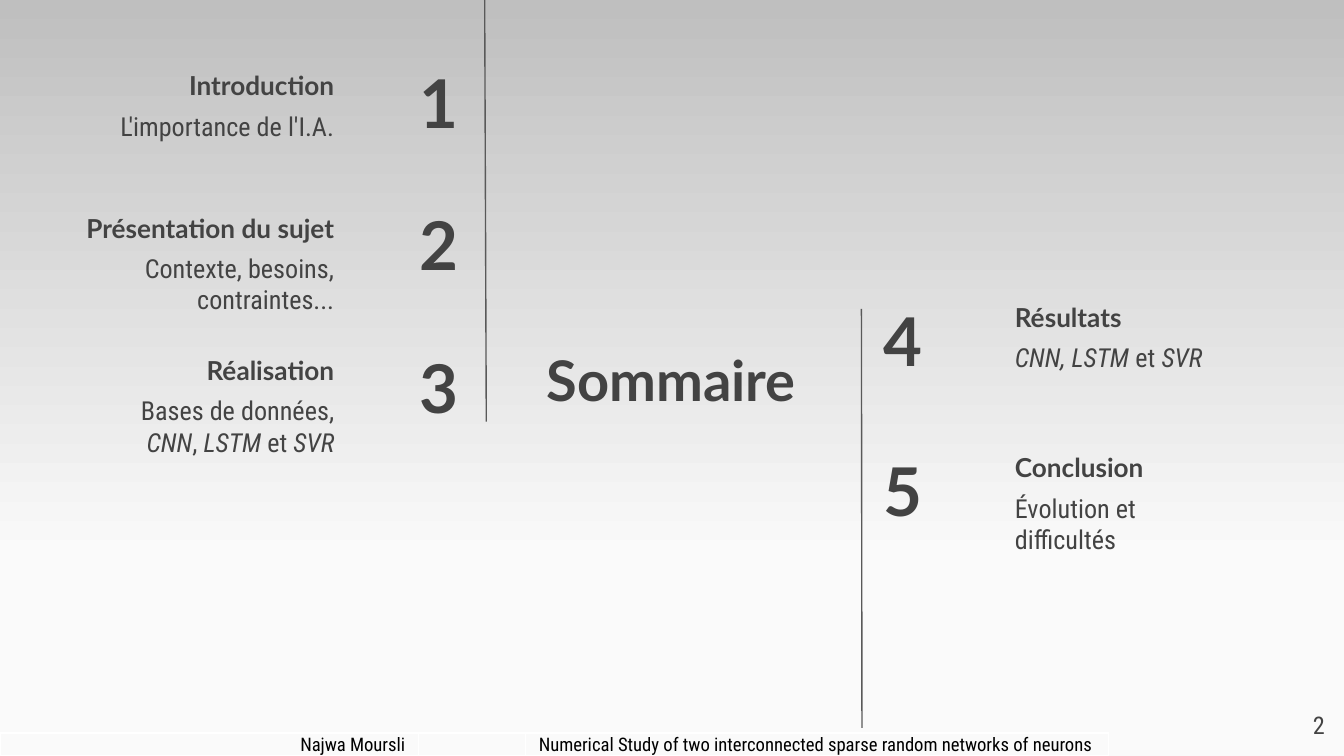
from copy import deepcopy
from dataclasses import dataclass

from lxml import etree
from pptx import Presentation
from pptx.dml.color import RGBColor as Rgb
from pptx.enum.shapes import MSO_CONNECTOR as Link
from pptx.enum.text import MSO_ANCHOR as Anchor, MSO_AUTO_SIZE as Fit, PP_ALIGN as Align
from pptx.oxml.ns import qn
from pptx.util import Cm, Pt


@dataclass(frozen=True)
class Theme:
    ink: str = "434343"
    rule: str = "595959"
    foot: str = "000000"
    back: tuple = ((0, "BFBFBF"), (0.74, "FAFAFA"), (0.83, "FAFAFA"), (1, "FBFBFB"))
    bold: str = "Lato"
    text: str = "Roboto Condensed"
    title: int = 30
    digit: int = 36
    body: int = 14
    page: int = 13
    note: int = 10
    pad: float = 0.25


class Deck:
    """Holds the style and the current slide."""

    def __init__(self, theme):
        self.theme = theme
        self.show = Presentation()
        self.show.slide_width, self.show.slide_height = Cm(25.4), Cm(14.29)
        self.slide = self.show.slides.add_slide(self.show.slide_layouts[5])

    def paint(self):
        """Fill the background with a downward gradient."""
        fill = self.slide.background.fill
        fill.gradient()
        fill.gradient_angle = 270
        stops = next(self.slide.element.iter(qn("a:gsLst")))
        while len(stops) < len(self.theme.back):
            stops.append(deepcopy(stops[0]))
        for stop, (place, color) in zip(fill.gradient_stops, self.theme.back):
            stop.position = place
            stop.color.rgb = Rgb.from_string(color)

    def style(self, para, size, face, color, align, bold=False):
        para.alignment = align
        font = para.font
        font.size, font.name, font.bold = Pt(size), face, bold
        font.color.rgb = Rgb.from_string(color)

    def fill(self, frame, text, size, face, align, anchor, bold=False):
        """Put text in a frame; parts between asterisks are italic."""
        frame.word_wrap, frame.auto_size = True, Fit.NONE
        frame.vertical_anchor = anchor
        frame.margin_left = frame.margin_right = Cm(self.theme.pad)
        frame.margin_top = frame.margin_bottom = Cm(self.theme.pad)
        para = frame.paragraphs[0]
        for i, part in enumerate(text.split("*")):
            if part:
                run = para.add_run()
                run.text = part
                if i % 2:
                    run.font.italic = True
        self.style(para, size, face, self.theme.ink, align, bold)

    def title(self, text, x, y, w, h):
        box = self.slide.shapes.title
        box.left, box.top, box.width, box.height = Cm(x), Cm(y), Cm(w), Cm(h)
        self.fill(box.text_frame, text, self.theme.title, self.theme.bold,
                  Align.CENTER, Anchor.MIDDLE, True)

    def text(self, text, x, y, w, h, *look):
        box = self.slide.shapes.add_textbox(Cm(x), Cm(y), Cm(w), Cm(h))
        self.fill(box.text_frame, text, *look)

    def line(self, x1, y1, x2, y2):
        line = self.slide.shapes.add_connector(
            Link.STRAIGHT, Cm(x1), Cm(y1), Cm(x2), Cm(y2))
        line.line.color.rgb = Rgb.from_string(self.theme.rule)
        line.line.width = Pt(0.75)
        etree.SubElement(line._element.spPr, qn("a:effectLst"))

    def footer(self, cells, y, h):
        """Add a one-row table; each cell is text, width and alignment."""
        width = sum(cell[1] for cell in cells)
        table = self.slide.shapes.add_table(
            1, len(cells), 0, Cm(y), Cm(width), Cm(h)).table
        table.first_row = table.horz_banding = False
        for i, (text, w, align) in enumerate(cells):
            table.columns[i].width = Cm(w)
            cell = table.cell(0, i)
            cell.fill.background()
            cell.vertical_anchor = Anchor.MIDDLE
            cell.margin_top = cell.margin_bottom = 0
            cell.text = text
            self.style(cell.text_frame.paragraphs[0], self.theme.note,
                       self.theme.text, self.theme.foot, align)

    def topic(self, num, head, body, y, side):
        """Add a numbered topic: heading, detail and large digit."""
        look, align = self.theme, side["align"]
        self.text(head, side["head"], y, 5.6, 1.6,
                  look.body, look.bold, align, Anchor.BOTTOM, True)
        self.text(body, side["body"], y + 1.27, 4.65, 1.6,
                  look.body, look.text, align, Anchor.TOP)
        self.text(str(num), side["digit"], y + side["drop"], 3, 1.6,
                  look.digit, look.bold, align, Anchor.MIDDLE, True)


LEFT = dict(align=Align.RIGHT, head=0.97, body=1.92, digit=5.92,
            drop=0.56, top=0.56, step=2.69)
RIGHT = dict(align=Align.LEFT, head=18.93, body=18.93, digit=16.45,
             drop=0.68, top=4.94, step=2.84)
TOPICS = (
    (LEFT, (("Introduction", "L'importance de l'I.A."),
            ("Présentation du sujet", "Contexte, besoins, contraintes..."),
            ("Réalisation", "Bases de données, *CNN*, *LSTM* et *SVR*"))),
    (RIGHT, (("Résultats", "*CNN, LSTM* et *SVR*"),
             ("Conclusion", "Évolution et difficultés"))),
)


def main():
    theme = Theme()
    deck = Deck(theme)
    deck.paint()

    # Footer
    deck.footer((("Najwa Moursli", 7.91, Align.RIGHT),
                 ("", 2.02, Align.LEFT),
                 ("Numerical Study of two interconnected sparse random networks of neurons",
                  11.02, Align.LEFT)), 13.86, 0.43)

    # Title and topics
    deck.title("Sommaire", 9.4, 5.85, 6.58, 2.62)
    num = 0
    for side, items in TOPICS:
        for row, (head, body) in enumerate(items):
            num += 1
            deck.topic(num, head, body, side["top"] + row * side["step"], side)

    # Page number
    deck.text("2", 23.77, 13.18, 1.52, 1.09,
              theme.page, theme.text, Align.RIGHT, Anchor.TOP)

    # Vertical rules
    deck.line(9.16, 0, 9.19, 7.97)
    deck.line(16.28, 5.84, 16.29, 13.76)

    deck.show.save("out.pptx")


if __name__ == "__main__":
    main()
